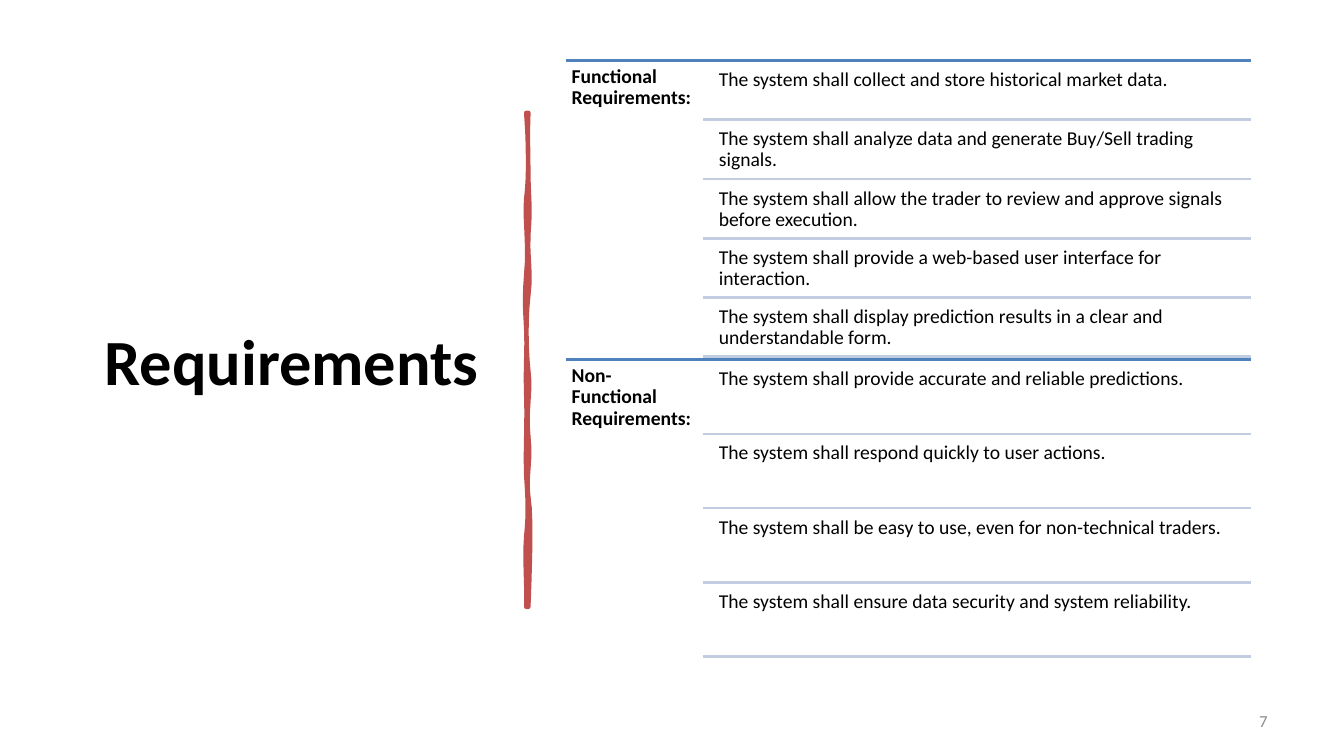
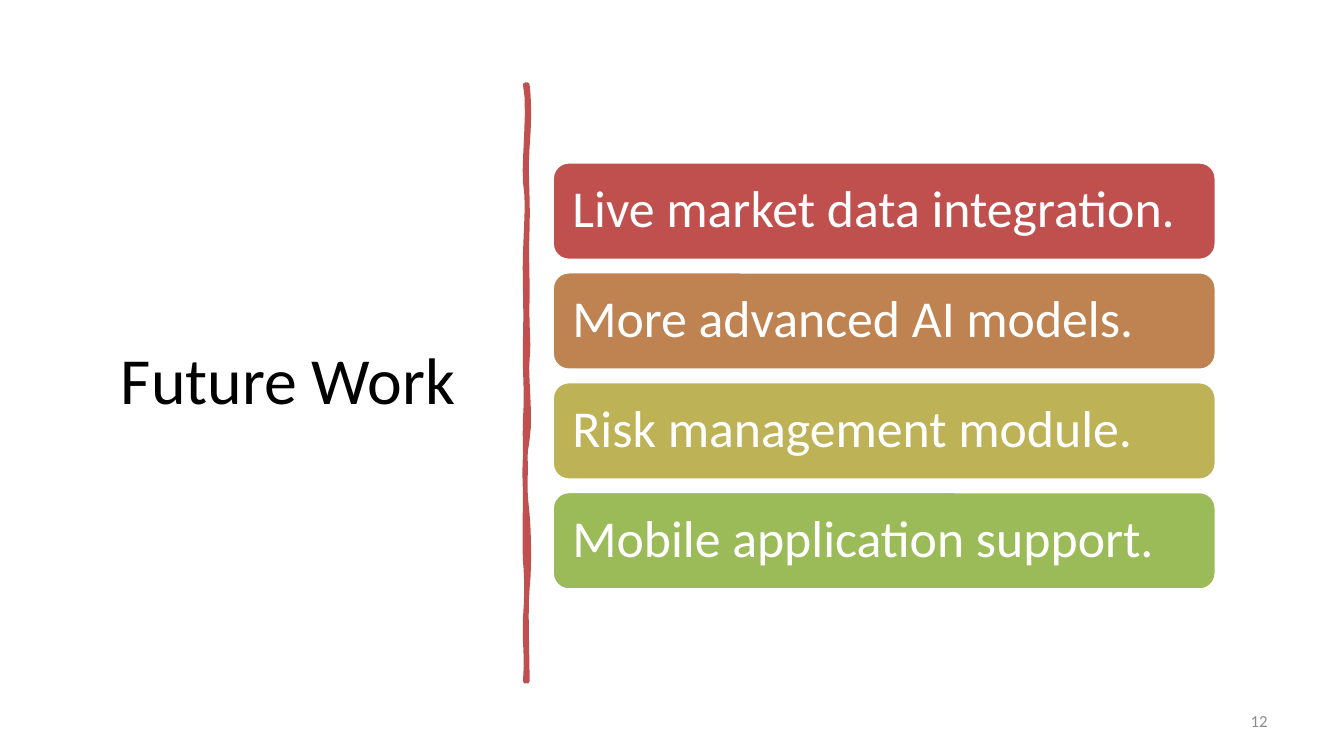
from pptx import Presentation
from pptx.dml.color import RGBColor
from pptx.enum.shapes import MSO_CONNECTOR as Wire, MSO_SHAPE as Form
from pptx.enum.text import MSO_ANCHOR as Anchor, PP_ALIGN as Align
from pptx.oxml.ns import qn
from pptx.util import Inches, Pt
from lxml import etree

RED, BLUE, PALE = "C0504D", "4F81BD", "C2CDE1"
BLACK, GREY, WHITE = "000000", "8C8C8C", "FFFFFF"
FONT = "Calibri"
STEPS = 6


def paint(color, hue):
    color.rgb = RGBColor.from_string(hue)


def write(shape, text, size, hue, bold=False, align=Align.LEFT,
          anchor=Anchor.MIDDLE, inset=0.1, space=1.0):
    frame = shape.text_frame
    frame.word_wrap = True
    frame.vertical_anchor = anchor
    frame.margin_left = frame.margin_right = Inches(inset)
    frame.margin_top = frame.margin_bottom = Inches(min(inset, 0.06))
    para = frame.paragraphs[0]
    para.text = text
    para.alignment = align
    para.line_spacing = space
    para.font.name = FONT
    para.font.size = Pt(size)
    para.font.bold = bold
    paint(para.font.color, hue)


pages = [
    {
        "title": "Requirements", "box": (0.92, 0.6, 3.94, 5.94),
        "size": 46, "bold": True, "number": "7", "start": (5.24, 1.12),
        "brush": [
            (5.23, 1.42, 5.24, 1.49, 5.24, 1.77),
            (5.25, 2.06, 5.26, 2.07, 5.24, 2.33),
            (5.23, 2.59, 5.27, 2.69, 5.24, 2.93),
            (5.21, 3.17, 5.22, 3.5, 5.24, 3.68),
            (5.27, 3.86, 5.21, 4.1, 5.24, 4.33),
            (5.27, 4.56, 5.21, 4.76, 5.24, 4.93),
            (5.27, 5.11, 5.26, 5.51, 5.24, 6.02),
            (5.23, 6.02, 5.23, 6.02, 5.22, 6.02),
            (5.23, 5.84, 5.2, 5.53, 5.22, 5.32),
            (5.24, 5.12, 5.24, 5, 5.22, 4.72),
            (5.21, 4.44, 5.23, 4.22, 5.22, 3.92),
            (5.21, 3.63, 5.23, 3.47, 5.22, 3.27),
            (5.21, 3.07, 5.2, 2.97, 5.22, 2.72),
            (5.25, 2.47, 5.2, 2.12, 5.22, 1.97),
            (5.24, 1.82, 5.25, 1.52, 5.22, 1.12),
        ],
    },
    {
        "title": "Future Work", "box": (0.73, 0.7, 4.26, 6.11),
        "size": 47, "bold": False, "number": "12", "start": (5.23, 0.84),
        "brush": [
            (5.25, 1.02, 5.25, 1.19, 5.23, 1.46),
            (5.21, 1.73, 5.24, 1.95, 5.23, 2.26),
            (5.22, 2.57, 5.23, 2.62, 5.23, 2.94),
            (5.22, 3.25, 5.25, 3.42, 5.23, 3.56),
            (5.21, 3.7, 5.27, 4.14, 5.23, 4.36),
            (5.19, 4.57, 5.2, 4.84, 5.23, 5.1),
            (5.25, 5.36, 5.25, 5.64, 5.23, 5.84),
            (5.21, 6.03, 5.23, 6.5, 5.23, 6.76),
            (5.22, 6.75, 5.22, 6.75, 5.21, 6.76),
            (5.23, 6.46, 5.2, 6.44, 5.21, 6.13),
            (5.23, 5.83, 5.22, 5.7, 5.21, 5.57),
            (5.2, 5.44, 5.21, 4.95, 5.21, 4.77),
            (5.22, 4.59, 5.2, 4.45, 5.21, 4.15),
            (5.23, 3.86, 5.2, 3.73, 5.21, 3.35),
            (5.22, 2.98, 5.2, 2.81, 5.21, 2.5),
            (5.22, 2.18, 5.24, 2, 5.21, 1.81),
            (5.19, 1.63, 5.26, 1.04, 5.21, 0.84),
        ],
    },
]

deck = Presentation()
deck.slide_width, deck.slide_height = Inches(13.33), Inches(7.5)
slides = []

for page in pages:
    slide = deck.slides.add_slide(deck.slide_layouts[6])
    slides.append(slide)
    title = slide.shapes.add_textbox(*map(Inches, page["box"]))
    write(title, page["title"], page["size"], BLACK, page["bold"], Align.CENTER)

    x, y = page["start"]
    pen = slide.shapes.build_freeform(Inches(x), Inches(y))
    points = []
    for ax, ay, bx, by, cx, cy in page["brush"]:
        for step in range(1, STEPS + 1):
            t = step / STEPS
            u = 1 - t
            p, q, r, s = u ** 3, 3 * u * u * t, 3 * u * t * t, t ** 3
            points.append((Inches(p * x + q * ax + r * bx + s * cx),
                           Inches(p * y + q * ay + r * by + s * cy)))
        x, y = cx, cy
    pen.add_line_segments(points, close=True)
    brush = pen.convert_to_shape()
    brush.shadow.inherit = False
    brush.fill.solid()
    paint(brush.fill.fore_color, RED)
    paint(brush.line.color, RED)
    brush.line.width = Pt(3.25)

    number = slide.shapes.add_textbox(Inches(9.56), Inches(6.95), Inches(3.11), Inches(0.4))
    write(number, page["number"], 12, GREY, align=Align.RIGHT)

needs, future = slides

groups = [
    ("Functional Requirements:", [
        "The system shall collect and store historical market data.",
        "The system shall analyze data and generate Buy/Sell trading signals.",
        "The system shall allow the trader to review and approve signals before execution.",
        "The system shall provide a web-based user interface for interaction.",
        "The system shall display prediction results in a clear and understandable form.",
    ]),
    ("Non-Functional Requirements:", [
        "The system shall provide accurate and reliable predictions.",
        "The system shall respond quickly to user actions.",
        "The system shall be easy to use, even for non-technical traders.",
        "The system shall ensure data security and system reliability.",
    ]),
]
LEFT, SPLIT, RIGHT = 5.61, 6.97, 12.41
TOP, TALL, GAP = 0.6, 2.97, 0.03

for index, (head, items) in enumerate(groups):
    top = TOP + index * TALL
    pitch = (TALL - GAP) / len(items)
    rules = [(LEFT, top, BLUE)]
    cells = [(LEFT, top, SPLIT - LEFT, TALL, head, True)]
    for row, item in enumerate(items):
        cells.append((SPLIT + 0.1, top + GAP + row * pitch,
                      RIGHT - SPLIT - 0.1, pitch - GAP, item, False))
        rules.append((SPLIT, top + (row + 1) * pitch, PALE))
    for x, y, hue in rules:
        rule = needs.shapes.add_connector(
            Wire.STRAIGHT, Inches(x), Inches(y), Inches(RIGHT), Inches(y))
        paint(rule.line.color, hue)
        rule.line.width = Pt(2)
        etree.SubElement(rule._element.spPr, qn("a:effectLst"))
    for x, y, wide, high, text, bold in cells:
        cell = needs.shapes.add_textbox(Inches(x), Inches(y), Inches(wide), Inches(high))
        write(cell, text, 14, BLACK, bold, anchor=Anchor.TOP, inset=0.06, space=0.9)

plans = [
    ("Live market data integration.", RED),
    ("More advanced AI models.", "BE8351"),
    ("Risk management module.", "BDB255"),
    ("Mobile application support.", "9BBB59"),
]
for row, (text, hue) in enumerate(plans):
    card = future.shapes.add_shape(
        Form.ROUNDED_RECTANGLE, Inches(5.48), Inches(1.61 + row * 1.09), Inches(6.58), Inches(0.97))
    card.shadow.inherit = False
    card.fill.solid()
    paint(card.fill.fore_color, hue)
    paint(card.line.color, WHITE)
    card.line.width = Pt(2)
    write(card, text, 37, WHITE, inset=0.15, space=0.9)

deck.save("out.pptx")
